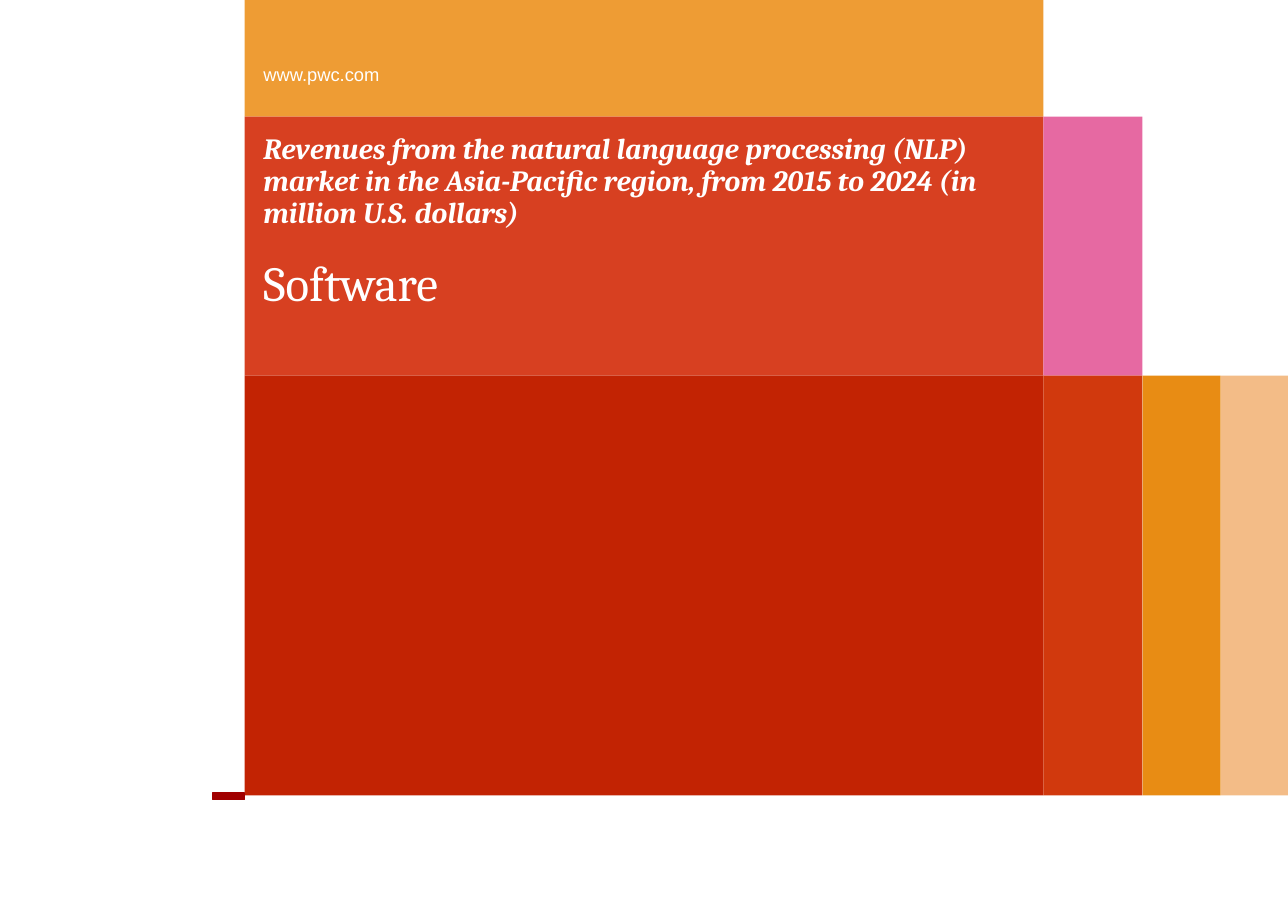
import pptx
import pptx.util
import pptx.dml.color
import pptx.enum.shapes
import pptx.enum.text

RGB = pptx.dml.color.RGBColor
Inches = pptx.util.Inches

WHITE = RGB(0xFF, 0xFF, 0xFF)
AMBER = RGB(0xEE, 0x9C, 0x34)
RED = RGB(0xD7, 0x40, 0x21)
PINK = RGB(0xE6, 0x69, 0xA2)
DEEP = RGB(0xC2, 0x23, 0x03)
RUST = RGB(0xD1, 0x39, 0x0D)
ORANGE = RGB(0xE8, 0x8C, 0x14)
PEACH = RGB(0xF3, 0xBC, 0x87)
DARK = RGB(0xA1, 0x00, 0x00)

TITLE = ("Revenues from the natural language processing (NLP) market in the "
         "Asia-Pacific region, from 2015 to 2024 (in million U.S. dollars)")
TOPIC = "Software"
SITE = "www.pwc.com"

WIDE, HIGH = 11.69, 8.27
COLS = [2.22, 9.47, 10.37, 11.08, WIDE]
ROWS = [0, 1.06, 3.41, 7.22]
BLOCKS = [
    [AMBER],
    [RED, PINK],
    [DEEP, RUST, ORANGE, PEACH],
]
DASH = (1.93, 7.2, 0.29, 0.06)
LEFT, SPAN = 2.3, 7.11

deck = pptx.Presentation()
deck.slide_width, deck.slide_height = Inches(WIDE), Inches(HIGH)
slide = deck.slides.add_slide(deck.slide_layouts[5])
shapes = slide.shapes


def add_rect(x, y, w, h, color):
    rect = shapes.add_shape(pptx.enum.shapes.MSO_SHAPE.RECTANGLE,
                            Inches(x), Inches(y), Inches(w), Inches(h))
    rect.shadow.inherit = False
    rect.fill.solid()
    rect.fill.fore_color.rgb = color
    rect.line.fill.background()
    return rect


def set_text(box, text, place, size, face, space=1.0, strong=False):
    """Place a text box and give it one white, left-aligned paragraph."""
    box.left, box.top, box.width, box.height = map(Inches, place)
    frame = box.text_frame
    frame.text = text
    frame.word_wrap = True
    frame.auto_size = pptx.enum.text.MSO_AUTO_SIZE.NONE
    frame.vertical_anchor = pptx.enum.text.MSO_ANCHOR.TOP
    frame.margin_left = frame.margin_right = Inches(0.09)
    frame.margin_top = frame.margin_bottom = Inches(0.05)
    para = frame.paragraphs[0]
    para.alignment = pptx.enum.text.PP_ALIGN.LEFT
    para.line_spacing = space
    font = para.font
    font.name, font.size = face, pptx.util.Pt(size)
    font.bold = font.italic = strong
    font.color.rgb = WHITE


for row, colors in enumerate(BLOCKS):
    top, end = ROWS[row:row + 2]
    for col, color in enumerate(colors):
        left, right = COLS[col:col + 2]
        add_rect(left, top, right - left, end - top, color)

dash = add_rect(*DASH, DARK)
dash.line.color.rgb = DARK
dash.line.width = pptx.util.Pt(1)

title = shapes.title
set_text(title, TITLE, (LEFT, 1.17, SPAN, 1.07), 19.2, "Cambria", 0.9, True)
# Bring the title in front of the colour blocks
title.element.getparent().append(title.element)

topic = shapes.add_textbox(0, 0, 0, 0)
set_text(topic, TOPIC, (LEFT, 2.3, SPAN, 1.07), 32, "Cambria", 0.9)
site = shapes.add_textbox(0, 0, 0, 0)
set_text(site, SITE, (LEFT, 0.52, 5.51, 0.26), 12, "Arial")

deck.save("out.pptx")
